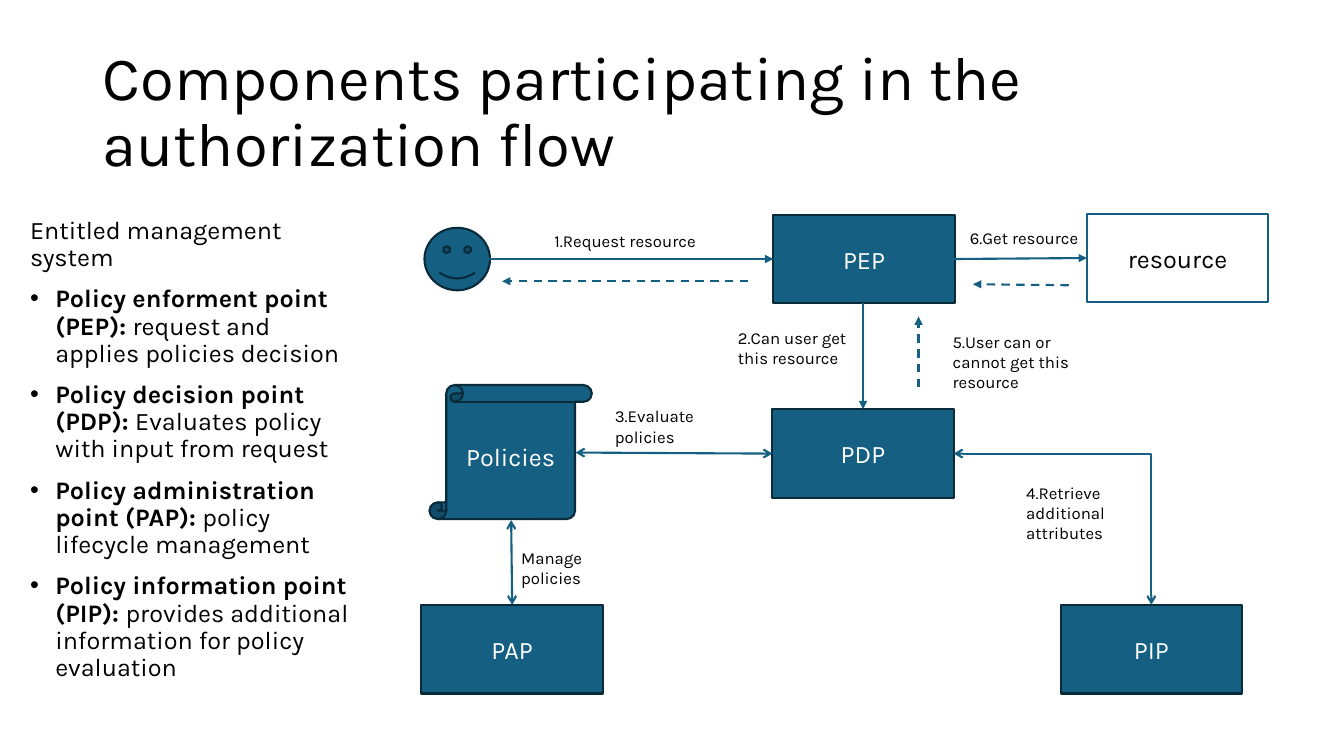
from lxml.etree import SubElement
from pptx import Presentation
from pptx.dml.color import RGBColor
from pptx.enum.dml import MSO_LINE
from pptx.enum.shapes import MSO_CONNECTOR, MSO_SHAPE
from pptx.enum.text import MSO_ANCHOR, PP_ALIGN
from pptx.oxml.ns import qn
from pptx.util import Inches, Pt

BLUE = RGBColor(0x15, 0x60, 0x82)
NAVY = RGBColor(0x09, 0x2A, 0x39)
WHITE = RGBColor(0xFF, 0xFF, 0xFF)
BLACK = RGBColor(0, 0, 0)

ROLES = [
    ("Policy enforment point (PEP): ", "request and applies policies decision"),
    ("Policy decision point (PDP): ", "Evaluates policy with input from request"),
    ("Policy administration point (PAP): ", "policy lifecycle management"),
    ("Policy information point (PIP): ",
     "provides additional information for policy evaluation"),
]
BOXES = [("PEP", 7.67, 2.13), ("PDP", 7.66, 4.06), ("PAP", 4.18, 6), ("PIP", 10.52, 6)]
LABELS = [
    ("6.Get resource", 9.52, 2.21, 2.26, 0.3),
    ("1.Request resource", 5.4, 2.24, 2.26, 0.3),
    ("2.Can user get\nthis resource", 7.22, 3.2, 1.4, 0.5),
    ("5.User can or cannot get this resource", 9.35, 3.24, 1.4, 0.71),
    ("3.Evaluate policies", 6, 3.98, 1.4, 0.5),
    ("Manage policies", 5.07, 5.38, 1.4, 0.5),
    ("4.Retrieve additional attributes", 10.08, 4.74, 1.4, 0.71),
]
CALLS = [(9.46, 2.57, 10.78, 2.56), (4.85, 2.57, 7.67, 2.57), (8.56, 3.01, 8.56, 4.06)]
REPLIES = [(10.6, 2.83, 9.65, 2.82), (9.11, 3.84, 9.11, 3.14), (7.42, 2.79, 4.98, 2.79)]
LINKS = [(5.71, 4.49, 7.66, 4.5), (5.07, 5.16, 5.08, 6)]


class Canvas:
    font = "Karla"
    weight = Pt(1.5)

    def __init__(self, slide):
        self.slide = slide

    def style(self, para, size, color=BLACK):
        para.font.name = self.font
        para.font.size = Pt(size)
        para.font.color.rgb = color

    def text(self, words, x, y, w, h, size=12):
        box = self.slide.shapes.add_textbox(*map(Inches, (x, y, w, h)))
        frame = box.text_frame
        frame.word_wrap = True
        frame.text = words
        for para in frame.paragraphs:
            self.style(para, size)
        return frame

    def title(self, words, *place):
        frame = self.text(words, *place, size=44)
        frame.vertical_anchor = MSO_ANCHOR.MIDDLE
        frame.paragraphs[0].line_spacing = 0.9

    def list(self, lead, items, *place):
        """Add a lead line followed by bullets that open in bold."""
        frame = self.text(lead, *place, size=18)
        for term, gloss in items:
            para = frame.add_paragraph()
            self.style(para, 18)
            para.add_run().text = term
            para.runs[0].font.bold = True
            para.add_run().text = gloss
            props = para._p.get_or_add_pPr()
            props.set("marL", str(Inches(0.25)))
            props.set("indent", str(-Inches(0.25)))
            SubElement(props, qn("a:buFont")).set("typeface", "Arial")
            SubElement(props, qn("a:buChar")).set("char", "•")
        for para in frame.paragraphs:
            para.line_spacing = 0.9
            para.space_before = Pt(10)

    def shape(self, kind, words, x, y, w=1.8, h=0.88,
              fill=BLUE, edge=NAVY, color=WHITE):
        item = self.slide.shapes.add_shape(kind, *map(Inches, (x, y, w, h)))
        item.shadow.inherit = False
        item.fill.solid()
        item.fill.fore_color.rgb = fill
        item.line.color.rgb = edge
        item.line.width = self.weight
        if words:
            frame = item.text_frame
            frame.text = words
            frame.vertical_anchor = MSO_ANCHOR.MIDDLE
            frame.paragraphs[0].alignment = PP_ALIGN.CENTER
            self.style(frame.paragraphs[0], 18, color)

    def arrow(self, ends, tail="triangle", head=None, dash=False, bent=False):
        kind = MSO_CONNECTOR.ELBOW if bent else MSO_CONNECTOR.STRAIGHT
        item = self.slide.shapes.add_connector(kind, *map(Inches, ends))
        item.line.color.rgb = BLUE
        item.line.width = self.weight
        if dash:
            item.line.dash_style = MSO_LINE.DASH
        props = item._element.spPr
        if bent:
            props.find(qn("a:prstGeom")).set("prst", "bentConnector2")
        line = props.find(qn("a:ln"))
        if head:
            SubElement(line, qn("a:headEnd")).set("type", head)
        SubElement(line, qn("a:tailEnd")).set("type", tail)
        SubElement(props, qn("a:effectLst"))


def main():
    deck = Presentation()
    deck.slide_width, deck.slide_height = Inches(13.33), Inches(7.5)
    page = Canvas(deck.slides.add_slide(deck.slide_layouts[6]))

    page.title("Components participating in the authorization flow",
               0.92, 0.4, 11.5, 1.45)
    page.list("Entitled management system", ROLES, 0.2, 2.11, 3.36, 4.76)

    page.shape(MSO_SHAPE.SMILEY_FACE, "", 4.21, 2.26, 0.65, 0.62)
    for name, x, y in BOXES:
        page.shape(MSO_SHAPE.RECTANGLE, name, x, y)
    page.shape(MSO_SHAPE.RECTANGLE, "resource", 10.78, 2.12,
               fill=WHITE, edge=BLUE, color=BLACK)
    page.shape(MSO_SHAPE.VERTICAL_SCROLL, "Policies", 4.26, 3.82, 1.61, 1.33)

    for ends in CALLS:
        page.arrow(ends)
    for ends in REPLIES:
        page.arrow(ends, dash=True)
    for ends in LINKS:
        page.arrow(ends, "arrow", "arrow")
    page.arrow((9.46, 4.5, 11.42, 6), "arrow", "arrow", bent=True)

    for label in LABELS:
        page.text(*label)
    deck.save("out.pptx")


if __name__ == "__main__":
    main()
